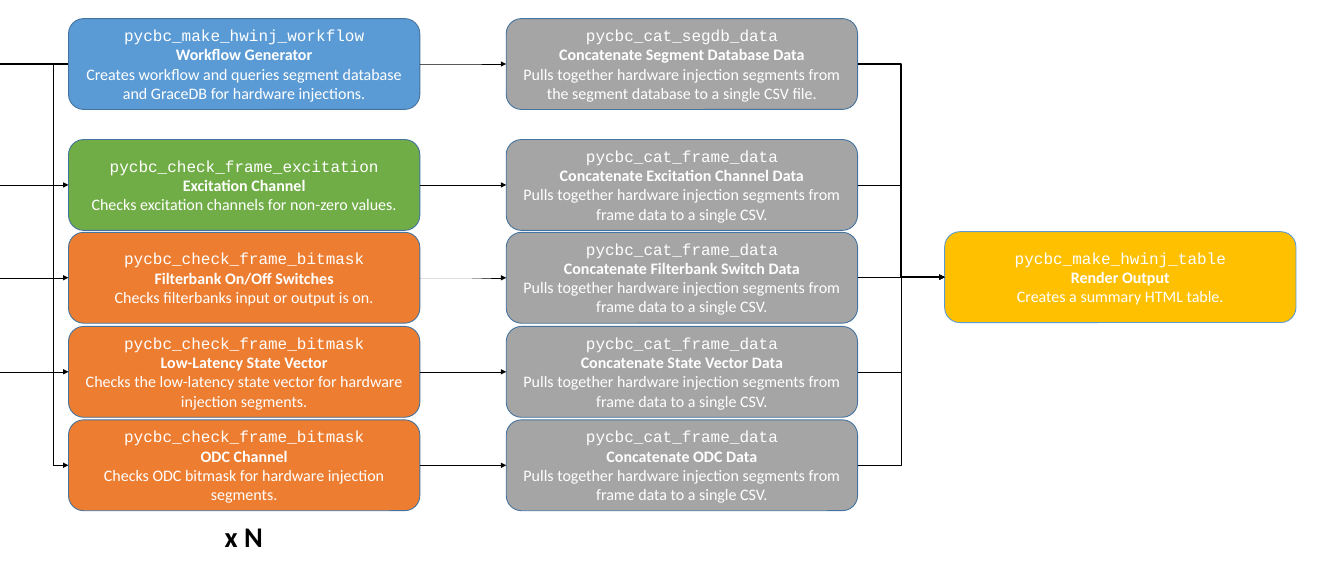
from lxml import etree
from pptx import Presentation
from pptx import util as u
from pptx.dml.color import RGBColor
from pptx.enum import shapes, text
from pptx.oxml import ns

rgb = RGBColor.from_string
LEFT_SITE, RIGHT_SITE = 1, 3


def write(paragraph, words, font="Calibri", size=18, bold=False, color="FFFFFF", align=text.PP_ALIGN.CENTER):
    paragraph.alignment = align
    run = paragraph.add_run()
    run.text = words
    run.font.name = font
    run.font.size = u.Pt(size)
    run.font.bold = bold
    run.font.color.rgb = rgb(color)


def link(kind, start=(0, 0), end=(0, 0), source=None, target=None, width=0.5, arrow=True):
    points = [u.Inches(value) for value in (*start, *end)]
    connector = slide.shapes.add_connector(kind, *points)
    if source is not None:
        connector.begin_connect(source, RIGHT_SITE)
    if target is not None:
        connector.end_connect(target, LEFT_SITE)
    connector.line.color.rgb = rgb("000000")
    connector.line.width = u.Pt(width)
    properties = connector.element.spPr
    if arrow:
        outline = properties.find(ns.qn("a:ln"))
        etree.SubElement(outline, ns.qn("a:tailEnd"), type="triangle")
    etree.SubElement(properties, ns.qn("a:effectLst"))


presentation = Presentation()
presentation.slide_width = u.Inches(21)
presentation.slide_height = u.Inches(9)
slide = presentation.slides.add_slide(presentation.slide_layouts[6])

check_left, concatenate_left, render_left = 1.07, 7.91, 14.76
step_width, step_height = 5.49, 1.42
row_tops = [0.29, 2.18, 3.63, 5.1, 6.56]
row_middles = [top + step_height / 2 for top in row_tops]
trunk = 0.83

checks = [
    ("pycbc_make_hwinj_workflow", "Workflow Generator",
     "Creates workflow and queries segment database and GraceDB for hardware injections.", "5B9BD5"),
    ("pycbc_check_frame_excitation", "Excitation Channel",
     "Checks excitation channels for non-zero values.", "70AD47"),
    ("pycbc_check_frame_bitmask", "Filterbank On/Off Switches",
     "Checks filterbanks input or output is on.", "ED7D31"),
    ("pycbc_check_frame_bitmask", "Low-Latency State Vector",
     "Checks the low-latency state vector for hardware injection segments.", "ED7D31"),
    ("pycbc_check_frame_bitmask", "ODC Channel",
     "Checks ODC bitmask for hardware injection segments.", "ED7D31"),
]
frame_data = "Pulls together hardware injection segments from frame data to a single CSV."
concatenations = [
    ("pycbc_cat_segdb_data", "Concatenate Segment Database Data",
     "Pulls together hardware injection segments from the segment database to a single CSV file.", "A5A5A5"),
]
for subject in ("Excitation Channel", "Filterbank Switch", "State Vector", "ODC"):
    concatenations.append(("pycbc_cat_frame_data", f"Concatenate {subject} Data", frame_data, "A5A5A5"))
render = ("pycbc_make_hwinj_table", "Render Output", "Creates a summary HTML table.", "FFC000")

placed = [(check_left, top, "43739E", *step) for top, step in zip(row_tops, checks)]
placed += [(concatenate_left, top, "43739E", *step) for top, step in zip(row_tops, concatenations)]
placed.append((render_left, 3.62, "5B9BD5", *render))

steps = []
for left, top, border, program, role, purpose, fill in placed:
    step = slide.shapes.add_shape(
        shapes.MSO_SHAPE.ROUNDED_RECTANGLE,
        u.Inches(left), u.Inches(top), u.Inches(step_width), u.Inches(step_height))
    step.shadow.inherit = False
    step.fill.solid()
    step.fill.fore_color.rgb = rgb(fill)
    step.line.color.rgb = rgb(border)
    step.line.width = u.Pt(1)
    frame = step.text_frame
    frame.word_wrap = True
    frame.vertical_anchor = text.MSO_ANCHOR.MIDDLE
    write(frame.paragraphs[0], program, font="Courier New")
    write(frame.add_paragraph(), role, bold=True)
    write(frame.add_paragraph(), purpose)
    steps.append(step)

repeat = slide.shapes.add_textbox(u.Inches(3.41), u.Inches(8.06), u.Inches(0.81), u.Inches(0.64)).text_frame
repeat.word_wrap = False
repeat.auto_size = text.MSO_AUTO_SIZE.SHAPE_TO_FIT_TEXT
write(repeat.paragraphs[0], "x N", size=32, bold=True, color="000000", align=text.PP_ALIGN.LEFT)

straight, elbow = shapes.MSO_CONNECTOR.STRAIGHT, shapes.MSO_CONNECTOR.ELBOW
link(straight, (0, row_middles[0]), (check_left, row_middles[0]), width=1.5, arrow=False)
link(straight, (trunk, row_middles[0]), (trunk, row_middles[-1]), arrow=False)
for start, middle, check in zip((0, 0, 0, trunk), row_middles[1:], steps[1:5]):
    link(straight, (start, middle), (check_left, middle), target=check)

for row, (check, concatenation) in enumerate(zip(steps[:5], steps[5:10])):
    link(elbow, source=check, target=concatenation)
    link(elbow, source=concatenation, target=steps[10], width=0.5 if row else 1.5)

presentation.save("out.pptx")
